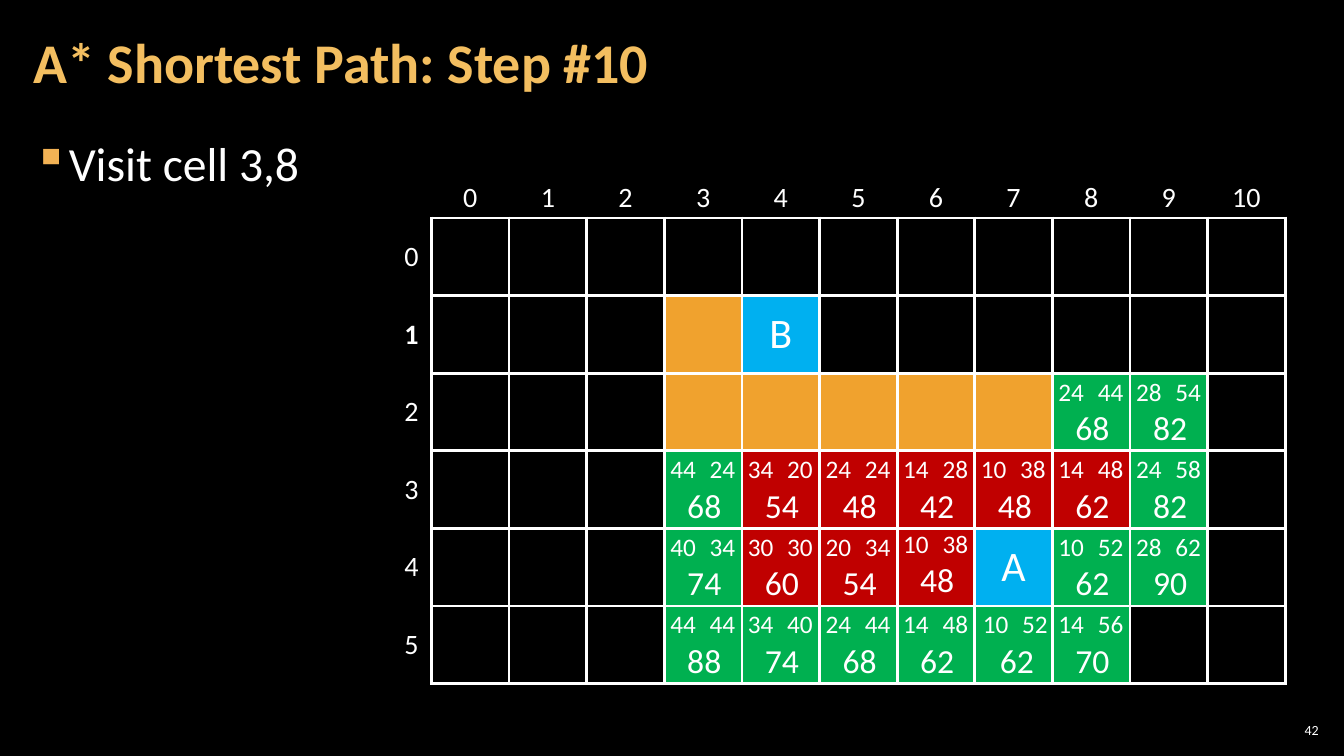
from lxml import etree
from pptx import Presentation
from pptx.dml.color import RGBColor
from pptx.enum.text import MSO_ANCHOR, MSO_AUTO_SIZE, PP_ALIGN
from pptx.oxml.ns import qn
from pptx.util import Inches, Pt

MIDDLE = MSO_ANCHOR.MIDDLE
TOP = MSO_ANCHOR.TOP
NO_AUTOFIT = MSO_AUTO_SIZE.NONE
LEFT = PP_ALIGN.LEFT
CENTER = PP_ALIGN.CENTER
RIGHT = PP_ALIGN.RIGHT

FONT = "Calibri"
WHITE = "FFFFFF"
TITLE_COLOR = "F3BE60"
BULLET_COLOR = "F2B254"
NO_STYLE = "{2D5ABB26-0587-4C30-8999-92F81FD0307C}"

CELL = 0.77
HEADER = 0.4
STATE_FILLS = {"w": "F0A22E", "o": "00B050", "v": "C00000", "A": "00B0F0", "B": "00B0F0"}
STATES = [
    "...........",
    "...wB......",
    "...wwwwwoo.",
    "...ovvvvvo.",
    "...ovvvAoo.",
    "...oooooo..",
]
SCORES = {
    2: {8: (24, 44, 68), 9: (28, 54, 82)},
    3: {3: (44, 24, 68), 4: (34, 20, 54), 5: (24, 24, 48), 6: (14, 28, 42),
        7: (10, 38, 48), 8: (14, 48, 62), 9: (24, 58, 82)},
    4: {3: (40, 34, 74), 4: (30, 30, 60), 5: (20, 34, 54), 6: (10, 38, 48),
        8: (10, 52, 62), 9: (28, 62, 90)},
    5: {3: (44, 44, 88), 4: (34, 40, 74), 5: (24, 44, 68), 6: (14, 48, 62),
        7: (10, 52, 62), 8: (14, 56, 70)},
}
NUDGES = {(4, 6): (0, -0.03), (5, 7): (0.02, 0)}


def color(value):
    return RGBColor.from_string(value)


def apply(target, values):
    for name, value in values.items():
        setattr(target, name, value)


def inset(target, horizontal, vertical):
    apply(target, {
        "margin_left": Inches(horizontal), "margin_right": Inches(horizontal),
        "margin_top": Inches(vertical), "margin_bottom": Inches(vertical),
    })


def write(paragraph, text, size, fill=WHITE, bold=False, align=LEFT):
    paragraph.alignment = align
    run = paragraph.add_run()
    run.text = text
    apply(run.font, {"name": FONT, "size": Pt(size), "bold": bold})
    run.font.color.rgb = color(fill)


def add_text(shapes, box, text, size, align=LEFT, margins=(0.1, 0.05), anchor=TOP):
    shape = shapes.add_textbox(*map(Inches, box))
    frame = shape.text_frame
    apply(frame, {"word_wrap": True, "vertical_anchor": anchor})
    inset(frame, *margins)
    write(frame.paragraphs[0], text, size, align=align)
    return frame.paragraphs[0]


def add_title(slide, box, text):
    title = slide.shapes.title
    apply(title, dict(zip(("left", "top", "width", "height"), map(Inches, box))))
    frame = title.text_frame
    apply(frame, {"word_wrap": True, "auto_size": NO_AUTOFIT, "vertical_anchor": MIDDLE})
    inset(frame, 0.12, 0.04)
    frame.paragraphs[0].line_spacing = 0.9
    write(frame.paragraphs[0], text, 40, TITLE_COLOR, True)


def add_bullet(slide, box, text):
    paragraph = add_text(slide.shapes, box, text, 34, margins=(0.12, 0.04))
    apply(paragraph, {"line_spacing": 1.05, "space_after": Pt(6)})
    properties = paragraph._p.get_or_add_pPr()
    properties.set("marL", str(Inches(0.33)))
    properties.set("indent", str(Inches(-0.33)))
    bullet_color = etree.SubElement(properties, qn("a:buClr"))
    etree.SubElement(bullet_color, qn("a:srgbClr"), val=BULLET_COLOR)
    etree.SubElement(properties, qn("a:buChar"), char="▪")


def add_borders(cell, sides):
    properties = cell._tc.get_or_add_tcPr()
    for side in "LRTB":
        if side in sides:
            line = etree.SubElement(properties, qn(f"a:ln{side}"), w=str(Pt(2.25)))
            fill = etree.SubElement(line, qn("a:solidFill"))
            etree.SubElement(fill, qn("a:srgbClr"), val=WHITE)


def format_cell(cell, row, column):
    inset(cell, 0.08, 0.04)
    cell.vertical_anchor = MIDDLE
    state, text, size = ".", "", 20
    if row and column:
        sides = "LRTB"
        state = STATES[row - 1][column - 1]
        if state.isupper():
            text, size = state, 30
    elif row:
        sides, text = "R", str(row - 1)
    elif column:
        sides, text = "B", str(column - 1)
    else:
        sides = ""
    add_borders(cell, sides)
    if state in STATE_FILLS:
        cell.fill.solid()
        cell.fill.fore_color.rgb = color(STATE_FILLS[state])
    else:
        cell.fill.background()
    if text:
        is_bold = (row, column) == (2, 0)
        write(cell.text_frame.paragraphs[0], text, size, bold=is_bold, align=CENTER)


def add_grid(slide, left, top):
    rows, columns = len(STATES) + 1, len(STATES[0]) + 1
    width = HEADER + CELL * (columns - 1)
    height = HEADER + CELL * (rows - 1)
    shape = slide.shapes.add_table(rows, columns, *map(Inches, (left, top, width, height)))
    table = shape.table
    apply(table, {"first_row": False, "horz_banding": False})
    table._tbl.tblPr.find(qn("a:tableStyleId")).text = NO_STYLE
    for index, column in enumerate(table.columns):
        column.width = Inches(CELL if index else HEADER)
    for index, row in enumerate(table.rows):
        row.height = Inches(CELL if index else HEADER)
        for position, cell in enumerate(row.cells):
            format_cell(cell, index, position)


def add_score(slide, left, top, score):
    start, goal, total = map(str, score)
    shapes = slide.shapes.add_group_shape().shapes
    add_text(shapes, (left + 0.02, top + 0.3, 0.75, 0.5), total, 24, CENTER)
    add_text(shapes, (left - 0.04, top - 0.01, 0.5, 0.4), start, 18)
    add_text(shapes, (left + 0.35, top - 0.01, 0.5, 0.4), goal, 18)


def add_scores(slide, left, top):
    for row, scores in SCORES.items():
        for column, score in scores.items():
            shift, drop = NUDGES.get((row, column), (0, 0))
            add_score(slide, left + HEADER + CELL * column + shift,
                      top + HEADER + CELL * row + drop, score)


def main():
    presentation = Presentation()
    presentation.slide_width = Inches(13.33)
    presentation.slide_height = Inches(7.5)
    slide = presentation.slides.add_slide(presentation.slide_layouts[5])
    slide.background.fill.solid()
    slide.background.fill.fore_color.rgb = color("000000")
    add_text(slide.shapes, (12.65, 7.14, 0.47, 0.21), "42", 10, RIGHT, (0.04, 0.04), MIDDLE)
    add_bullet(slide, (0.21, 1.26, 12.91, 6.09), "Visit cell 3,8")
    add_title(slide, (0.21, 0.04, 10.47, 1.21), "A* Shortest Path: Step #10")
    add_grid(slide, 3.88, 1.75)
    add_scores(slide, 3.88, 1.75)
    presentation.save("out.pptx")


if __name__ == "__main__":
    main()
